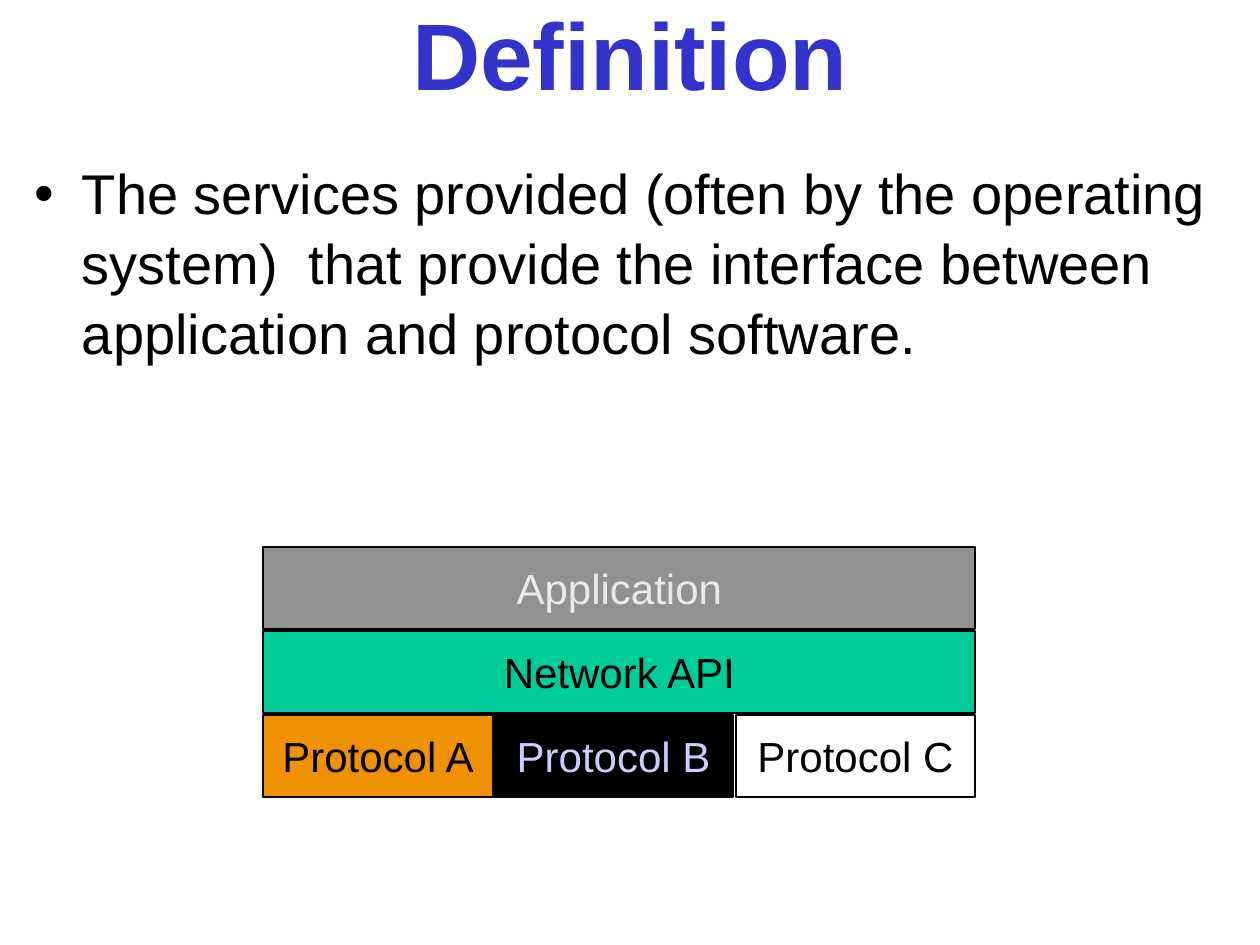
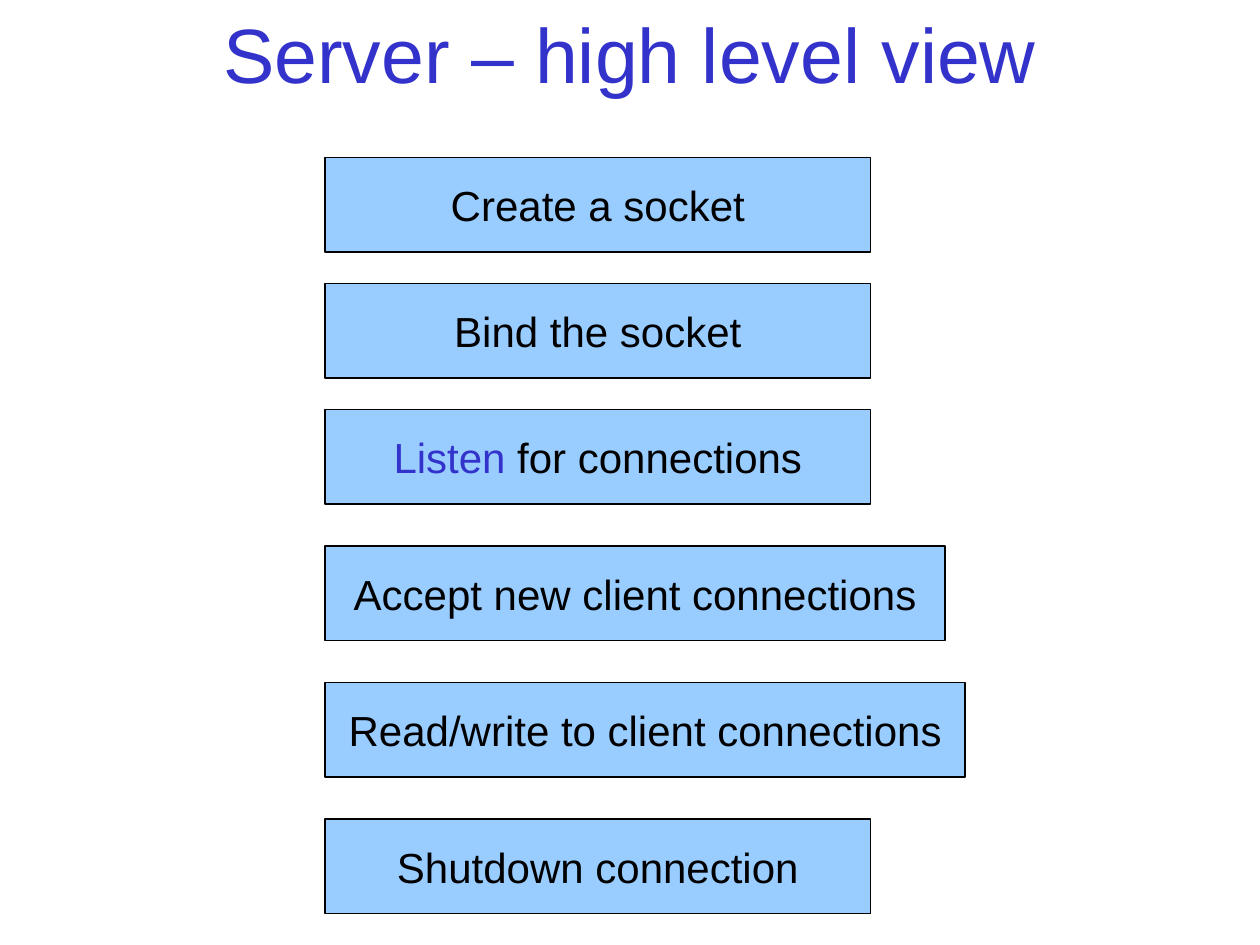
from pptx import Presentation
from pptx.dml.color import RGBColor
from pptx.enum.shapes import MSO_SHAPE
from pptx.enum.text import MSO_ANCHOR, MSO_AUTO_SIZE, PP_ALIGN
from pptx.util import Inches, Pt

COLORS = {
    "black": "000000", "white": "FFFFFF", "blue": "3333CC", "sky": "99CCFF",
    "gray": "919191", "pale": "EAEAEA", "green": "00CC99",
    "orange": "EF9100", "lilac": "CCCCFF",
}
FRAME = {
    "margin_left": Inches(0.1), "margin_right": Inches(0.1),
    "margin_top": Inches(0.05), "margin_bottom": Inches(0.05),
    "auto_size": MSO_AUTO_SIZE.NONE,
}
TITLE = {"vertical_anchor": MSO_ANCHOR.MIDDLE, "word_wrap": True}
LIST = {"vertical_anchor": MSO_ANCHOR.TOP, "word_wrap": True}
BOX = {"vertical_anchor": MSO_ANCHOR.MIDDLE, "word_wrap": False}


def color(name):
    return RGBColor.from_string(COLORS[name])


def apply(target, values):
    for key, value in values.items():
        setattr(target, key, value)


def place(shape, *at):
    apply(shape, dict(zip(("left", "top", "width", "height"), map(Inches, at))))


class Deck:
    """Holds the shared style and the slide being drawn."""

    def __init__(self):
        self.file = Presentation()
        apply(self.file, {"slide_width": Inches(10), "slide_height": Inches(7.5)})
        self.slide = None

    def start(self, layout, title, size, bold=False):
        self.slide = self.file.slides.add_slide(self.file.slide_layouts[layout])
        shape = self.slide.shapes.title
        place(shape, 0, 0, 10, 0.83)
        self.label(shape, [(title, "blue")], size, TITLE, bold=bold)

    def label(self, shape, runs, size, frame, align=PP_ALIGN.CENTER, bold=False):
        """Fill a shape with one paragraph of (text, colour) runs."""
        apply(shape.text_frame, {**FRAME, **frame})
        para = shape.text_frame.paragraphs[0]
        apply(para, {"alignment": align, "space_before": Pt(0)})
        for text, tint in runs:
            run = para.add_run()
            run.text = text
            apply(run.font, {"name": "Arial", "size": Pt(size), "bold": bold})
            run.font.color.rgb = color(tint)
        return para

    def bullet(self, text):
        body = self.slide.placeholders[1]
        place(body, 0.17, 1.19, 9.83, 2.24)
        para = self.label(body, [(text, "black")], 32, LIST, PP_ALIGN.LEFT)
        para.line_spacing = 1.04
        props = para._p.get_or_add_pPr()
        props.set("marL", str(Inches(0.38)))
        props.set("indent", str(Inches(-0.38)))

    def box(self, runs, at, fill, line):
        shape = self.slide.shapes.add_shape(MSO_SHAPE.RECTANGLE, *map(Inches, at))
        shape.shadow.inherit = False
        shape.fill.solid()
        shape.fill.fore_color.rgb = color(fill)
        shape.line.color.rgb = color("black")
        shape.line.width = Pt(line)
        self.label(shape, runs, 24, BOX)


def define(deck):
    deck.start(1, "Definition", 54, bold=True)
    deck.bullet("The services provided (often by the operating system)  that "
                "provide the interface between application and protocol software.")
    layers = [
        [("Application", 2.09, 5.65, "gray", "pale")],
        [("Network API", 2.09, 5.65, "green", "black")],
        [("Protocol A", 2.09, 1.82, "orange", "black"),
         ("Protocol B", 3.92, 1.9, "black", "lilac"),
         ("Protocol C", 5.84, 1.9, "white", "black")],
    ]
    for row, layer in enumerate(layers):
        top = 4.34 + row * 2 / 3
        for text, left, width, fill, tint in layer:
            deck.box([(text, tint)], (left, top, width, 0.65), fill, 1)


def serve(deck):
    deck.start(5, "Server – high level view", 44)
    steps = [
        ([("Create a socket", "black")], 4.33),
        ([("Bind the socket", "black")], 4.33),
        ([("Listen", "blue"), (" for connections", "black")], 4.33),
        ([("Accept new client connections", "black")], 4.92),
        ([("Read/write to client connections", "black")], 5.08),
        ([("Shutdown connection", "black")], 4.33),
    ]
    top = 1.25
    for row, (runs, width) in enumerate(steps):
        deck.box(runs, (2.58, top, width, 0.75), "sky", 0.75)
        top += 1 if row < 2 else 13 / 12


def main():
    deck = Deck()
    define(deck)
    serve(deck)
    deck.file.save("out.pptx")


if __name__ == "__main__":
    main()
